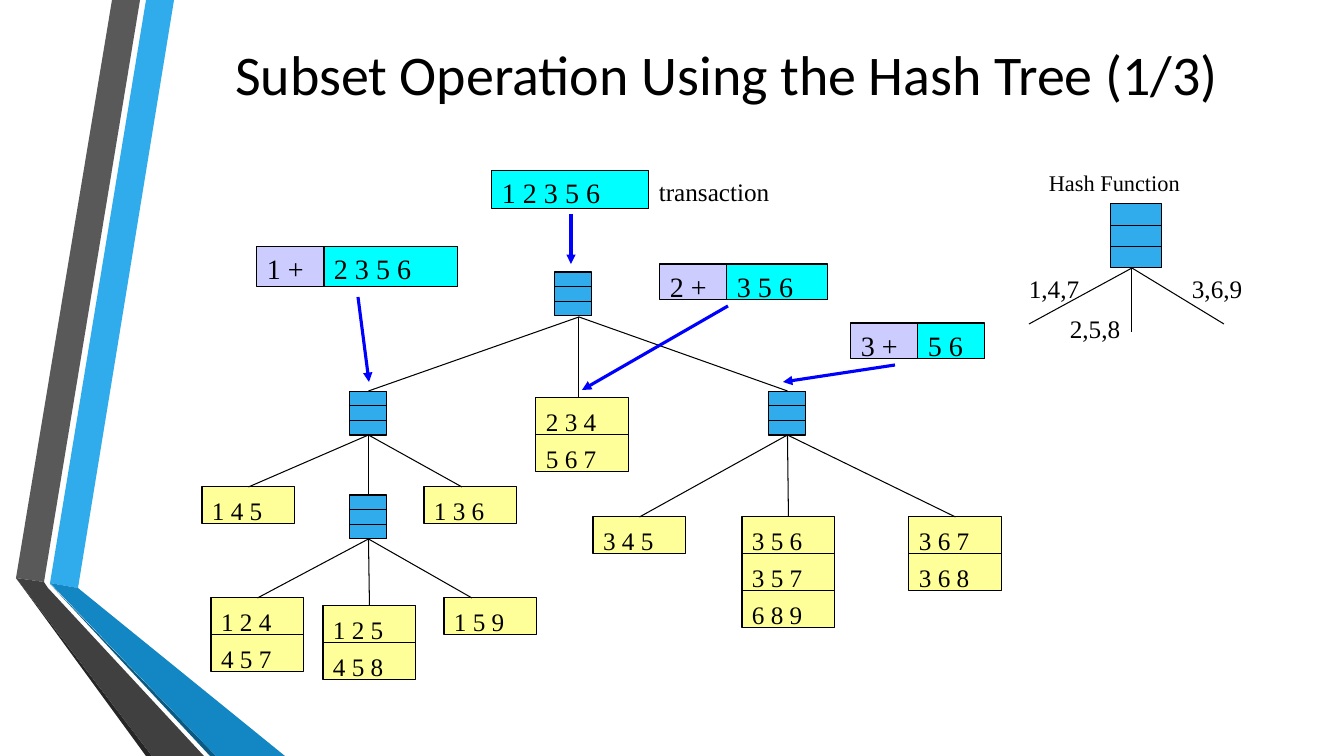
from pptx import Presentation
from pptx.dml.color import RGBColor
from pptx.enum.shapes import MSO_CONNECTOR as Connector, MSO_SHAPE as Shape
from pptx.enum.text import MSO_ANCHOR as Anchor, PP_ALIGN as Align
from pptx.oxml.ns import qn
from pptx.util import Emu, Pt
from lxml.etree import SubElement

PX = 914400 / 100.8
TOP, BOTTOM = 0, 2
SERIF = "Times New Roman"
BLACK = RGBColor(0x00, 0x00, 0x00)
BLUE = RGBColor(0x00, 0x00, 0xFF)
SKY = RGBColor(0x30, 0xAC, 0xEC)
DEEP_SKY = RGBColor(0x12, 0x87, 0xC3)
NAVY = RGBColor(0x0C, 0x5A, 0x82)
GRAY = RGBColor(0x59, 0x59, 0x59)
DARK_GRAY = RGBColor(0x40, 0x40, 0x40)
CHARCOAL = RGBColor(0x26, 0x26, 0x26)
YELLOW = RGBColor(0xFF, 0xFF, 0x99)
CYAN = RGBColor(0x00, 0xFF, 0xFF)
LAVENDER = RGBColor(0xCC, 0xCC, 0xFF)

RIBBONS = [
    (SKY, [(34, 583), (62, 588), (158, 0), (130, 0)]),
    (GRAY, [(124, 0), (96, 0), (0, 578), (28, 582)]),
    (CHARCOAL, [(0, 578), (130, 756), (136, 756)]),
    (NAVY, [(34, 584), (194, 756), (200, 756)]),
    (DEEP_SKY, [(34, 583), (200, 756), (269, 756), (62, 588)]),
    (DARK_GRAY, [(188, 756), (32, 588), (28, 582), (0, 578), (136, 756)]),
]
NODES = {"root": (355, 2), "left": (150, 121), "right": (569, 121), "lower": (150, 225)}
LEAVES = {
    "1 5 9": (244, 328, []),
    "1 4 5": (2, 217, []),
    "1 3 6": (224, 217, []),
    "3 4 5": (393, 247, []),
    "3 6 7": (709, 247, ["3 6 8"]),
    "3 5 6": (542, 247, ["3 5 7", "6 8 9"]),
    "2 3 4": (336, 128, ["5 6 7"]),
    "1 2 4": (11, 328, ["4 5 7"]),
    "1 2 5": (123, 336, ["4 5 8"]),
}
JOINED_BRANCHES = {
    "left": ["1 4 5", "lower"],
    "right": ["3 4 5", "3 5 6", "3 6 7"],
    "lower": ["1 2 4", "1 2 5"],
}
QUERIES = [
    (492, 171, 38, [("1 2 3 5 6", 157, CYAN)], (79, 43), (79, 93)),
    (257, 247, 40, [("1 +", 67, LAVENDER), ("2 3 5 6", 134, CYAN)], (101, 50), (112, 135)),
    (660, 264, 36, [("2 +", 67, LAVENDER), ("3 5 6", 101, CYAN)], (68, 42), (-78, 126)),
    (851, 323, 36, [("3 +", 67, LAVENDER), ("5 6", 67, CYAN)], (44, 42), (-68, 59)),
]


def px(*lengths):
    """Turn pixel lengths into EMU."""
    return [Emu(round(length * PX)) for length in lengths]


def write(box, text, size, font=SERIF, align=Align.LEFT):
    """Put one styled line of text into a box."""
    para = box.text_frame.paragraphs[0]
    para.text = text
    para.alignment = align
    span = para.runs[0]
    span.font.size = Pt(size)
    span.font.name = font
    span.font.color.rgb = BLACK


def add_label(page, left, top, width, height, text, size):
    """Add a free-standing label."""
    box = page.shapes.add_textbox(*px(left, top, width, height))
    box.text_frame.word_wrap = False
    write(box, text, size)


def add_box(page, left, top, width, height, fill):
    """Add a thinly outlined rectangle."""
    box = page.shapes.add_shape(Shape.RECTANGLE, *px(left, top, width, height))
    box.shadow.inherit = False
    box.fill.solid()
    box.fill.fore_color.rgb = fill
    box.line.color.rgb = BLACK
    box.line.width = Pt(0.75)
    return box


def add_cell(page, left, top, width, height, fill, text, size, inset):
    """Add a rectangle holding a row of items."""
    box = add_box(page, left, top, width, height, fill)
    frame = box.text_frame
    frame.word_wrap = True
    frame.vertical_anchor = Anchor.TOP
    frame.margin_left, frame.margin_top = px(10, inset)
    frame.margin_right = frame.margin_bottom = 0
    write(box, text, size)
    return box


def add_line(page, start, end, color=BLACK, width=0.75, arrow=False):
    """Add a straight line, with an arrowhead at its end if asked."""
    line = page.shapes.add_connector(Connector.STRAIGHT, *px(*start, *end))
    line.line.color.rgb = color
    line.line.width = Pt(width)
    if arrow:
        SubElement(line.line._get_or_add_ln(), qn("a:tailEnd"), type="triangle")
    SubElement(line._element.spPr, qn("a:effectLst"))
    return line


def add_node(page, left, top, width, height):
    """Add a hash node with three slots."""
    box = add_box(page, left, top, width, height, SKY)
    for slot in (1, 2):
        y = top + height * slot / 3
        add_line(page, (left, y), (left + width, y))
    return box


def add_ribbons(page, left, top):
    """Draw the folded ribbons along the left edge."""
    for color, points in RIBBONS:
        corners = [(left + x, top + y) for x, y in points]
        builder = page.shapes.build_freeform(*corners[0], scale=PX)
        builder.add_line_segments(corners[1:], close=True)
        ribbon = builder.convert_to_shape()
        ribbon.shadow.inherit = False
        ribbon.fill.solid()
        ribbon.fill.fore_color.rgb = color
        ribbon.line.fill.background()


def add_title(page, left, top, width, height):
    """Add the centred slide title."""
    box = page.shapes.add_textbox(*px(left, top, width, height))
    box.text_frame.word_wrap = True
    box.text_frame.vertical_anchor = Anchor.MIDDLE
    write(box, "Subset Operation Using the Hash Tree (1/3)", 40, "Calibri", Align.CENTER)


def add_tree(page, left, top):
    """Draw the hash tree with its nodes, leaves and branches."""
    parts = {name: add_node(page, left + x, top + y, 37, 44) for name, (x, y) in NODES.items()}
    for first, (x, y, others) in LEAVES.items():
        cells = [
            add_cell(page, left + x, top + y + 37 * row, 93, 37, YELLOW, text, 18, 8)
            for row, text in enumerate([first, *others])
        ]
        parts[first] = cells[0]
    for parent, children in JOINED_BRANCHES.items():
        for child in children:
            branch = add_line(page, (left, top), (left, top))
            branch.begin_connect(parts[parent], BOTTOM)
            branch.end_connect(parts[child], TOP)
    fork = (left + 379, top + 47)
    add_line(page, fork, (left + 379, top + 128))
    for child in ("left", "right"):
        add_line(page, fork, fork).end_connect(parts[child], TOP)
    for parent, x, y in [("left", 262, 217), ("lower", 272, 328)]:
        end = (left + x, top + y)
        add_line(page, end, end).begin_connect(parts[parent], BOTTOM)


def add_query(page, left, top, height, cells, start, end):
    """Draw a row of prefix and remaining items with its arrow."""
    x = left
    for text, width, fill in cells:
        add_cell(page, x, top, width, height, fill, text, 20, 5)
        x += width
    tail, head = [(left + dx, top + dy) for dx, dy in (start, end)]
    add_line(page, tail, head, BLUE, 2.25, arrow=True)


def add_hash_function(page, left, top):
    """Draw the key of the hash function."""
    add_label(page, left + 20, top, 153, 37, "Hash Function", 16)
    add_node(page, left + 92, top + 40, 51, 64)
    for x, y in [(10, 160), (113, 168), (205, 160)]:
        add_line(page, (left + 113, top + 104), (left + x, top + y))
    for text, x, y in [("1,4,7", 0, 104), ("2,5,8", 41, 144), ("3,6,9", 163, 104)]:
        add_label(page, left + x, top + y, 72, 40, text, 18)


def main():
    """Build the slide and save it."""
    deck = Presentation()
    deck.slide_width, deck.slide_height = px(1344, 756)
    page = deck.slides.add_slide(deck.slide_layouts[6])
    add_ribbons(page, 16, 0)
    add_title(page, 174, 0, 1105, 147)
    add_tree(page, 200, 270)
    for query in QUERIES:
        add_query(page, *query)
    add_label(page, 649, 171, 132, 40, "transaction", 18)
    add_hash_function(page, 1019, 164)
    deck.save("out.pptx")


if __name__ == "__main__":
    main()
